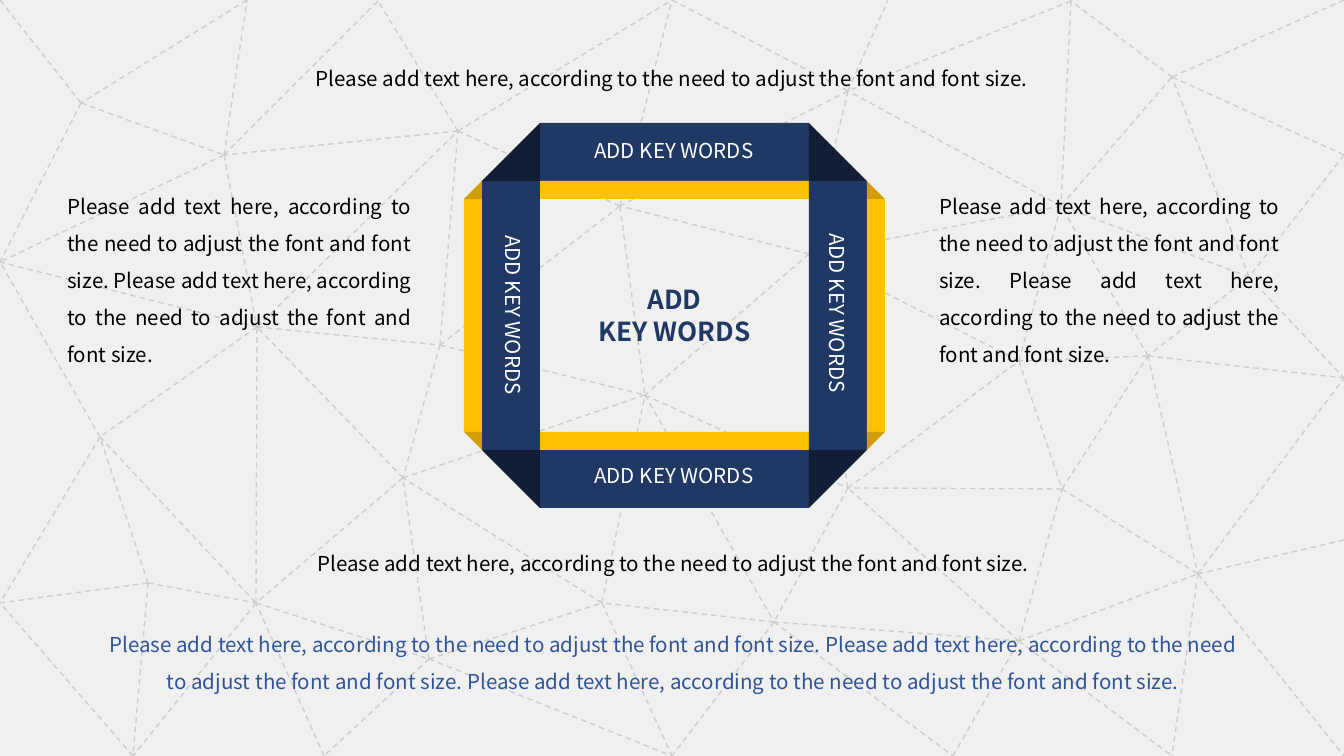
from lxml import etree
from pptx import Presentation
from pptx import util as u
from pptx.dml.color import RGBColor
from pptx.enum import dml, shapes, text
from pptx.oxml.ns import qn

SCALE = 914400 / 134.4  # EMU per px
WIDTH, HEIGHT = 1344, 756
FONT = "Noto Sans CJK SC"
NAVY, DARK_NAVY, GOLD, DARK_GOLD = "203864", "111E35", "FFC000", "D09E00"
BLACK, WHITE, BLUE, PALE, GREY = "000000", "FFFFFF", "2F5597", "F0F0F0", "CDCDCD"
RECT, CORNER = shapes.MSO_SHAPE.RECTANGLE, shapes.MSO_SHAPE.RIGHT_TRIANGLE
CENTER, JUSTIFY = text.PP_ALIGN.CENTER, text.PP_ALIGN.JUSTIFY

# Background mesh: node positions, then the nodes each one is joined to
NODES = {
    "A": (224, 155), "B": (247, 0), "C": (0, 262), "D": (378, 1), "E": (458, 131),
    "F": (257, 327), "G": (440, 345), "H": (403, 478), "I": (256, 603), "J": (100, 437),
    "K": (0, 603), "L": (148, 583), "M": (133, 756), "N": (429, 659), "O": (324, 756),
    "P": (602, 603), "Q": (672, 756), "R": (645, 395), "S": (620, 206), "T": (672, 0),
    "U": (848, 91), "V": (809, 254), "W": (848, 488), "X": (774, 622), "Y": (888, 0),
    "Z": (1061, 206), "a": (1019, 361), "b": (1062, 489), "c": (1019, 641),
    "d": (953, 756), "e": (1172, 756), "f": (1148, 356), "g": (1172, 77),
    "h": (1071, 1), "i": (1344, 0), "j": (1344, 155), "k": (1249, 277),
    "l": (1344, 378), "m": (1198, 574), "n": (1344, 756), "o": (1344, 540),
    "p": (81, 103), "q": (0, 0),
}
LINKS = {
    "A": "BCDF", "B": "p", "E": "ADT", "F": "ECGJ", "G": "HRES", "H": "FI",
    "I": "FMN", "J": "ICK", "L": "KJIM", "M": "K", "N": "HOPQ", "O": "I",
    "P": "QHR", "R": "HWX", "S": "RET", "T": "U", "U": "SVY", "V": "SR",
    "W": "VXa", "X": "PQd", "Z": "UVg", "a": "ZbV", "b": "Wmf", "c": "WXbem",
    "d": "c", "f": "Zlam", "g": "hij", "h": "ZU", "j": "k", "k": "gZfl",
    "m": "lneo", "p": "ACq",
}

# Frame: inner opening between the bands, band and edge thickness
LEFT, TOP, RIGHT, BOTTOM = 540, 181, 809, 450
BAND, EDGE = 58, 18

SENTENCE = "Please add text here, according to the need to adjust the font and font size."
TITLE = ["ADD", "KEY WORDS"]
KEYWORD = "ADD KEY WORDS"
KEYWORDS = [(674, 153, 0), (674, 478, 0), (511, 315, 90), (835, 313, 90)]  # centre, turn
NOTES = [  # position, sentences, alignment, colour
    ((263, 47, 818, 51), 1, CENTER, BLACK),
    ((926, 175, 367, 200), 2, JUSTIFY, BLACK),
    ((54, 175, 371, 200), 2, JUSTIFY, BLACK),
    ((219, 532, 909, 51), 1, CENTER, BLACK),
    ((90, 613, 1167, 87), 3, CENTER, BLUE),
]


def px(*lengths):
    return [u.Emu(round(length * SCALE)) for length in lengths]


def color(value):
    return RGBColor.from_string(value)


def add_mesh_line(start, end):
    line = page.shapes.add_connector(shapes.MSO_CONNECTOR.STRAIGHT, *px(*start, *end))
    line.line.color.rgb = color(GREY)
    line.line.width = u.Pt(0.75)
    line.line.dash_style = dml.MSO_LINE.DASH
    etree.SubElement(line._element.spPr, qn("a:effectLst"))


def add_part(kind, position, fill, turn=0):
    part = page.shapes.add_shape(kind, *px(*position))
    part.shadow.inherit = False
    part.fill.solid()
    part.fill.fore_color.rgb = color(fill)
    part.line.fill.background()
    part.rotation = turn


def write(box, lines, size, shade, align=CENTER, spacing=1.0, bold=False, wrap=False):
    frame = box.text_frame
    frame.word_wrap = wrap
    frame.auto_size = text.MSO_AUTO_SIZE.NONE
    frame.vertical_anchor = text.MSO_ANCHOR.TOP
    for index, line in enumerate(lines):
        para = frame.add_paragraph() if index else frame.paragraphs[0]
        para.alignment = align
        para.line_spacing = spacing
        span = para.add_run()
        span.text = line
        span.font.name = FONT
        span.font.size = u.Pt(size)
        span.font.bold = bold
        span.font.color.rgb = color(shade)


deck = Presentation()
deck.slide_width, deck.slide_height = px(WIDTH, HEIGHT)
page = deck.slides.add_slide(deck.slide_layouts[5])

# Background
page.background.fill.solid()
page.background.fill.fore_color.rgb = color(PALE)
for node, neighbours in LINKS.items():
    for neighbour in neighbours:
        add_mesh_line(NODES[node], NODES[neighbour])

# Frame bands and their gold edges
span_x, span_y = RIGHT - LEFT, BOTTOM - TOP
for band_y, edge_y in ((TOP - BAND, TOP), (BOTTOM, BOTTOM - EDGE)):
    add_part(RECT, (LEFT, band_y, span_x, BAND), NAVY)
    add_part(RECT, (LEFT, edge_y, span_x, EDGE), GOLD)
for band_x, edge_x in ((LEFT - BAND, LEFT - BAND - EDGE), (RIGHT, RIGHT + BAND)):
    add_part(RECT, (band_x, TOP, BAND, span_y), NAVY)
    add_part(RECT, (edge_x, TOP + EDGE, EDGE, span_y - 2 * EDGE), GOLD)

# Folded corners, clockwise from the top right
for index, (at_right, at_top) in enumerate([(1, 1), (1, 0), (0, 0), (0, 1)]):
    fold_x = RIGHT if at_right else LEFT - BAND
    fold_y = TOP - BAND if at_top else BOTTOM
    tip_x = RIGHT + BAND if at_right else LEFT - BAND - EDGE
    tip_y = TOP if at_top else BOTTOM - EDGE
    add_part(CORNER, (fold_x, fold_y, BAND, BAND), DARK_NAVY, 90 * index)
    add_part(CORNER, (tip_x, tip_y, EDGE, EDGE), DARK_GOLD, 90 * index)

# Labels on the bands
for x, y, turn in KEYWORDS:
    label = page.shapes.add_textbox(*px(x - 118, y - 21.5, 236, 43))
    label.rotation = turn
    write(label, [KEYWORD], 11, WHITE)

# Surrounding notes
for position, count, align, shade in NOTES:
    note = page.shapes.add_textbox(*px(*position))
    write(note, [" ".join([SENTENCE] * count)], 11, shade, align, 1.5, wrap=True)

# Title in the middle of the frame, in front of the mesh
title = page.shapes.title
title.left, title.top, title.width, title.height = px(579, 277, 191, 77)
write(title, TITLE, 14, NAVY, bold=True)
page.shapes._spTree.append(title._element)

deck.save("out.pptx")
